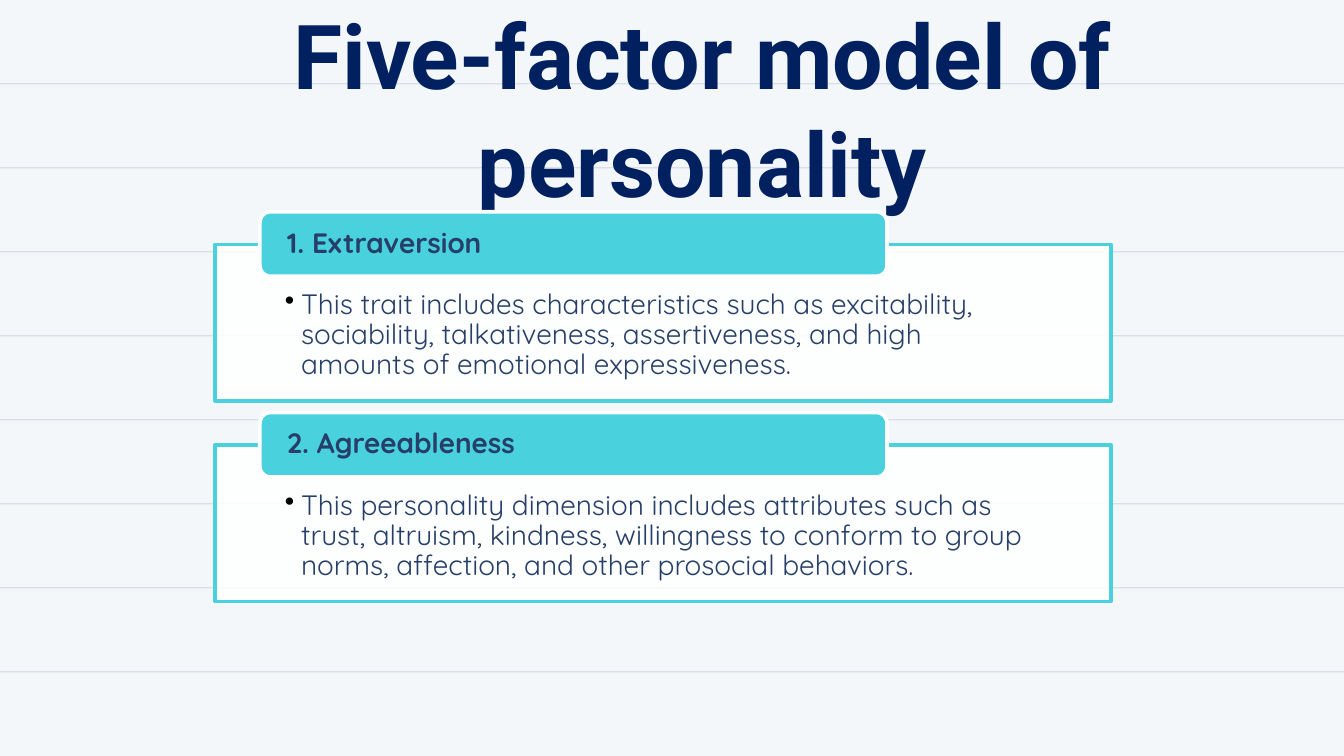
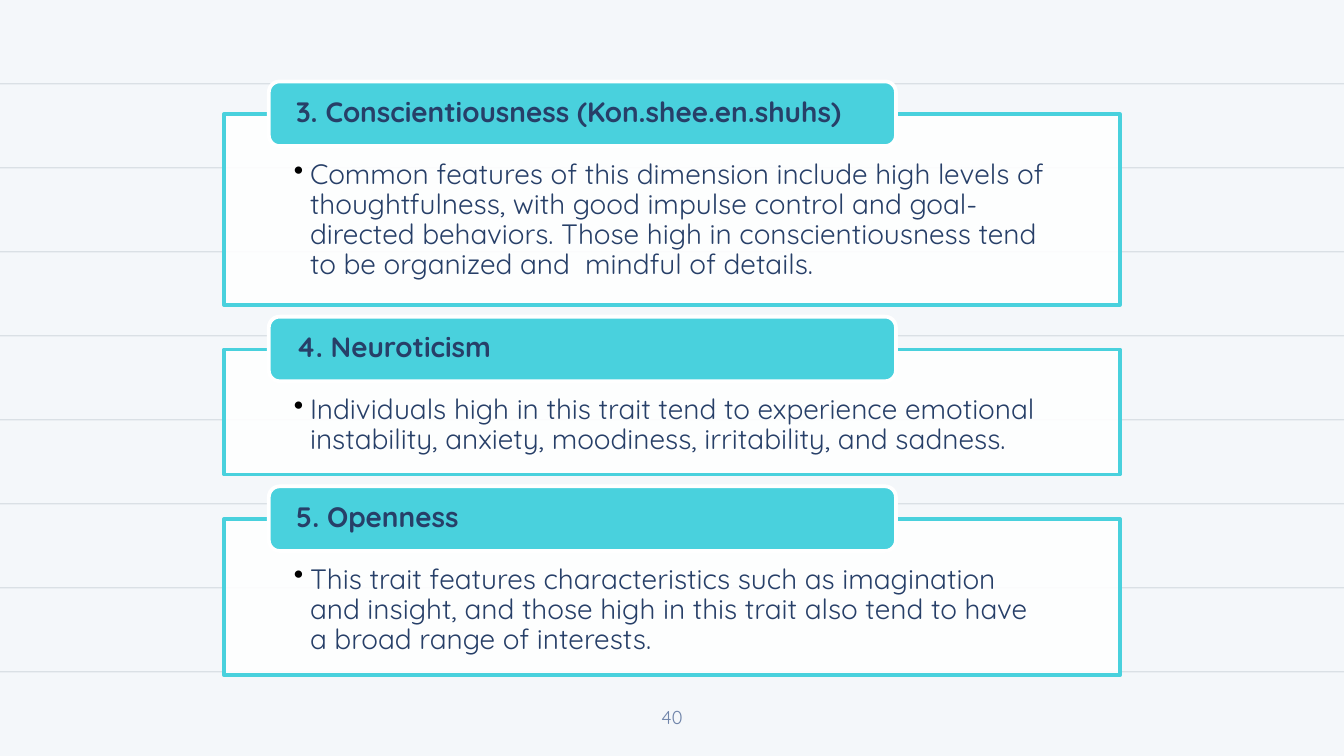
from dataclasses import dataclass

from lxml import etree
from pptx import Presentation, util as u
from pptx.dml.color import RGBColor
from pptx.enum import shapes, text
from pptx.oxml.ns import qn


@dataclass(frozen=True)
class Theme:
    paper: str = "F4F7FA"
    ruling: str = "30485C"
    white: str = "FFFFFF"
    aqua: str = "49D1DD"
    ink: str = "273F68"
    navy: str = "002060"
    muted: str = "7085AA"
    bullet: str = "000000"
    title_font: str = "Roboto"
    body_font: str = "Quicksand"
    title_size: int = 48
    body_size: int = 15
    number_size: int = 10


theme = Theme()
deck = Presentation()
deck.slide_width, deck.slide_height = u.Inches(10), u.Inches(5.625)
COL, ROW = deck.slide_width / 30, deck.slide_height / 90

# Card grid, in columns and rows
CARD_COLS, CARD_GAP = 20, 5.3
TAB_COLS, TAB_ROWS, TAB_INDENT, TAB_RISE = 14, 7.7, 1, 3.9


def add_block(slide, kind, cells, fill, line=None, opacity=100):
    """Draw a filled shape at cells = (left, top, width, height) in grid units."""
    left, top, width, height = cells
    block = slide.shapes.add_shape(
        kind, round(left * COL), round(top * ROW), round(width * COL), round(height * ROW))
    block.shadow.inherit = False
    block.fill.solid()
    block.fill.fore_color.rgb = RGBColor.from_string(fill)
    if opacity < 100:
        color = block.element.spPr.find(qn("a:solidFill"))[0]
        etree.SubElement(color, qn("a:alpha"), val=str(opacity * 1000))
    if line:
        block.line.color.rgb = RGBColor.from_string(line)
        block.line.width = u.Pt(2)
    else:
        block.line.fill.background()
    return block


def write(holder, wording, size, color, font=theme.body_font, bold=False,
          insets=(0, 0, 0, 0), anchor=text.MSO_ANCHOR.MIDDLE, align=text.PP_ALIGN.LEFT):
    """Put one run of text in a shape; insets are left, top, right, bottom in inches."""
    frame = holder.text_frame
    frame.word_wrap = True
    frame.vertical_anchor = anchor
    (frame.margin_left, frame.margin_top,
     frame.margin_right, frame.margin_bottom) = map(u.Inches, insets)
    paragraph = frame.paragraphs[0]
    paragraph.alignment = align
    run = paragraph.add_run()
    run.text = wording
    run.font.name, run.font.size, run.font.bold = font, u.Pt(size), bold
    run.font.color.rgb = RGBColor.from_string(color)
    return paragraph


pages = [
    dict(title="Five-factor model of personality", number=None, left=4.8, top=29.1, traits=[
        ("1. Extraversion", 18.6,
         "This trait includes characteristics such as excitability, sociability, "
         "talkativeness, assertiveness, and high amounts of emotional expressiveness."),
        ("2. Agreeableness", 18.6,
         "This personality dimension includes attributes such as trust, altruism, "
         "kindness, willingness to conform to group norms, affection, and other "
         "prosocial behaviors."),
    ]),
    dict(title=None, number="40", left=5, top=13.6, traits=[
        ("3. Conscientiousness (Kon.shee.en.shuhs)", 22.7,
         "Common features of this dimension include high levels of thoughtfulness, "
         "with good impulse control and goal-directed behaviors. Those high in "
         "conscientiousness tend to be organized and  mindful of details."),
        ("4. Neuroticism", 14.9,
         "Individuals high in this trait tend to experience emotional instability, "
         "anxiety, moodiness, irritability, and sadness."),
        ("5. Openness", 18.6,
         "This trait features characteristics such as imagination and insight, and "
         "those high in this trait also tend to have a broad range of interests."),
    ]),
]

# Shared paper: background on the master, ruled lines on the blank layout
blank = deck.slide_layouts[6]
paper = deck.slide_master.background.fill
paper.solid()
paper.fore_color.rgb = RGBColor.from_string(theme.paper)
slides = [deck.slides.add_slide(blank) for page in pages]
for rule in range(1, 9):
    ruling = add_block(slides[0], shapes.MSO_SHAPE.RECTANGLE, (0, rule * 10 - 0.1, 30, 0.16),
                       theme.ruling, opacity=13)
    ruling.element.xpath("./p:nvSpPr/p:cNvPr")[0].set("id", str(100 + rule))
    blank.shapes.element.append(ruling.element)

for slide, page in zip(slides, pages):
    if page["title"]:
        title = slide.shapes.add_textbox(
            round(5 * COL), round(6.1 * ROW), round(21.27 * COL), round(13.3 * ROW))
        write(title, page["title"], theme.title_size, theme.navy, theme.title_font, True,
              insets=(0.03, 0.01, 0, 0), align=text.PP_ALIGN.CENTER)
    if page["number"]:
        number = slide.shapes.add_textbox(
            round(14.1 * COL), round(83 * ROW), round(1.8 * COL), round(4.8 * ROW))
        write(number, page["number"], theme.number_size, theme.muted,
              align=text.PP_ALIGN.CENTER)

    left, top = page["left"], page["top"]
    for trait, rows, description in page["traits"]:
        card = add_block(slide, shapes.MSO_SHAPE.RECTANGLE, (left, top, CARD_COLS, rows),
                         theme.white, theme.aqua, opacity=90)
        detail = write(card, description, theme.body_size, theme.ink,
                       insets=(0.52, 0.34, 0.52, 0.12), anchor=text.MSO_ANCHOR.TOP)
        detail.level = 1
        props = detail._p.get_or_add_pPr()
        props.set("marL", str(u.Inches(0.12)))
        props.set("indent", str(-u.Inches(0.12)))
        bullet_color = etree.SubElement(props, qn("a:buClr"))
        etree.SubElement(bullet_color, qn("a:srgbClr"), val=theme.bullet)
        etree.SubElement(props, qn("a:buChar"), char="•")
        detail.line_spacing = 0.9

        tab = add_block(slide, shapes.MSO_SHAPE.ROUNDED_RECTANGLE,
                        (left + TAB_INDENT, top - TAB_RISE, TAB_COLS, TAB_ROWS),
                        theme.aqua, theme.white)
        tab.adjustments[0] = 0.167
        heading = write(tab, trait, theme.body_size, theme.ink, bold=True,
                        insets=(0.18, 0, 0.18, 0))
        heading.line_spacing = 0.9
        top += rows + CARD_GAP

deck.save("out.pptx")
